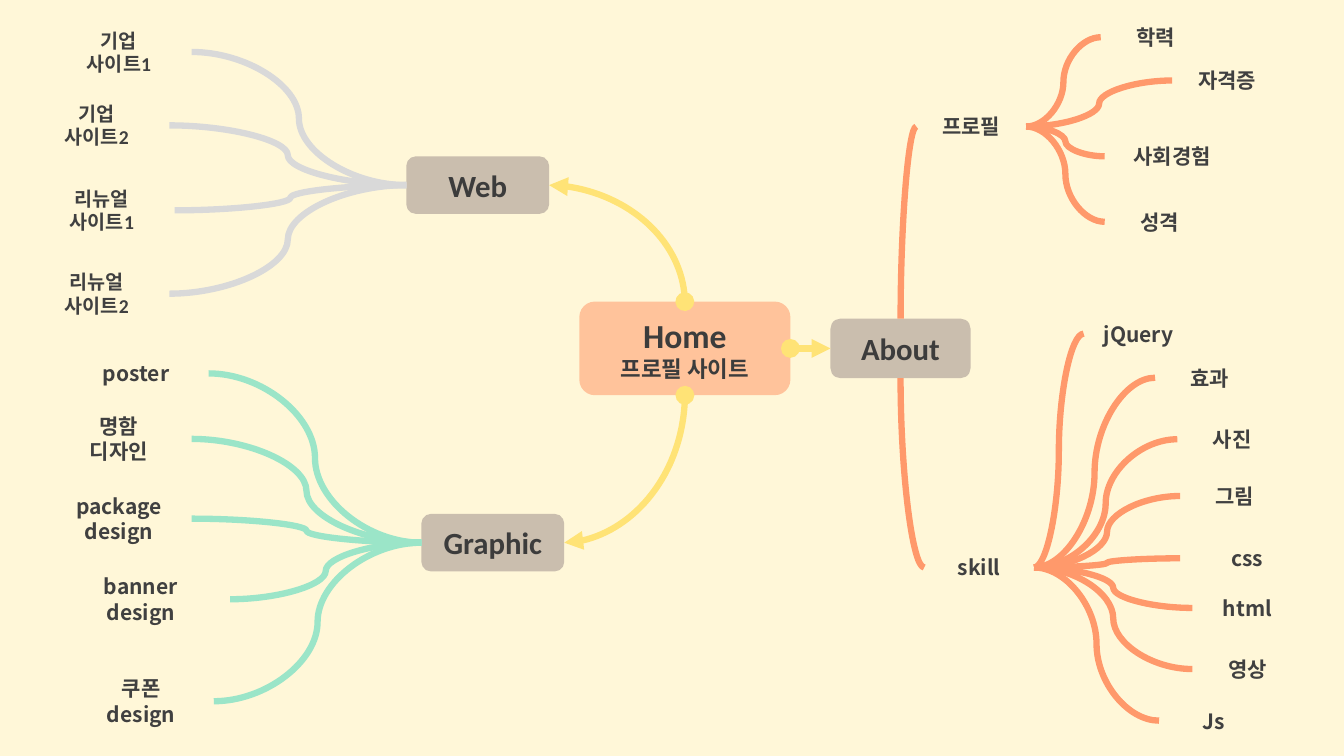
from dataclasses import dataclass
from typing import Optional

from pptx import Presentation
from pptx.dml.color import RGBColor
from pptx.enum.shapes import MSO_CONNECTOR as Link, MSO_SHAPE as Preset
from pptx.enum.text import MSO_ANCHOR as Anchor, PP_ALIGN as Align
from pptx.oxml.ns import qn
from pptx.oxml.xmlchemy import OxmlElement
from pptx.util import Cm, Pt

KOREAN = "Noto Sans CJK KR"
CREAM, PEACH, TAUPE = "FFF7D8", "FFC39B", "CABEAE"
YELLOW, ORANGE, MINT, GREY = "FFE376", "FF996B", "9BE5C8", "D9D9D9"
HUB_TEXT, LEAF_TEXT = "3C3C3C", "404040"

Point = tuple[float, float]


@dataclass
class Node:
    """A labelled box; lengths in centimetres."""
    text: str
    left: float
    top: float
    width: float = 2.77
    height: float = 0.76
    fill: Optional[str] = None
    color: str = LEAF_TEXT
    font: str = KOREAN
    sizes: tuple[float, ...] = (15,)
    preset: Preset = Preset.ROUNDED_RECTANGLE

    def at(self, x: float, y: float) -> Point:
        """Point at the given fractions of the width and height."""
        return self.left + x * self.width, self.top + y * self.height


@dataclass
class Branch:
    """A hub, its leaves and the side on which they fan out."""
    hub: Node
    leaves: list[Node]
    color: str
    to_right: bool


def rgb(value: str) -> RGBColor:
    return RGBColor.from_string(value)


def hub(text: str, left: float, top: float, width: float, height: float) -> Node:
    return Node(text, left, top, width, height, TAUPE, HUB_TEXT, "Calibri", (22,))


def graphic_leaf(text: str, left: float, top: float, width: float = 3.66) -> Node:
    return Node(text, left, top, width, 1.5)


def web_leaf(text: str, left: float, top: float) -> Node:
    return Node(text, left, top, 3.66, 1.5, font="Calibri", sizes=(14,))


def draw_node(shapes, node: Node) -> None:
    shape = shapes.add_shape(node.preset, Cm(node.left), Cm(node.top),
                             Cm(node.width), Cm(node.height))
    shape.shadow.inherit = False
    shape.line.fill.background()
    if node.fill:
        shape.fill.solid()
        shape.fill.fore_color.rgb = rgb(node.fill)
    else:
        shape.fill.background()
    frame = shape.text_frame
    frame.word_wrap = True
    frame.vertical_anchor = Anchor.MIDDLE
    for i, words in enumerate(node.text.split("\n")):
        paragraph = frame.paragraphs[0] if i == 0 else frame.add_paragraph()
        paragraph.alignment = Align.CENTER
        run = paragraph.add_run()
        run.text = words
        size = node.sizes[min(i, len(node.sizes) - 1)]
        font_format = {"name": node.font, "size": Pt(size), "bold": True}
        for key, value in font_format.items():
            setattr(run.font, key, value)
        run.font.color.rgb = rgb(node.color)
        east_asian = OxmlElement("a:ea")
        east_asian.set("typeface", KOREAN)
        run.font._element.append(east_asian)


def draw_curve(shapes, start: Point, end: Point, color: str,
               quarter: bool = False, arrow: bool = False) -> None:
    """An S-curve, or a quarter turn that leaves its start vertically."""
    (x1, y1), (x2, y2) = start, end
    if quarter:  # the box is laid out before its rotation by 90 degrees
        mid_x, mid_y = (x1 + x2) / 2, (y1 + y2) / 2
        half_x, half_y = (y2 - y1) / 2, (x1 - x2) / 2
        x1, y1, x2, y2 = (mid_x - half_x, mid_y - half_y,
                          mid_x + half_x, mid_y + half_y)
    curve = shapes.add_connector(Link.CURVE, Cm(x1), Cm(y1), Cm(x2), Cm(y2))
    curve.line.color.rgb = rgb(color)
    curve.line.width = Pt(4.5)
    properties = curve._element.spPr
    if quarter:
        properties.find(qn("a:xfrm")).set("rot", "5400000")
        properties.find(qn("a:prstGeom")).set("prst", "curvedConnector2")
    if arrow:
        for tag, kind in (("a:headEnd", "oval"), ("a:tailEnd", "triangle")):
            tip = OxmlElement(tag)
            tip.set("type", kind)
            properties.find(qn("a:ln")).append(tip)
    properties.append(OxmlElement("a:effectLst"))


def draw_branch(shapes, branch: Branch) -> None:
    draw_node(shapes, branch.hub)
    near, far = (1, 0) if branch.to_right else (0, 1)
    for leaf in branch.leaves:
        draw_node(shapes, leaf)
        draw_curve(shapes, branch.hub.at(near, 0.5), leaf.at(far, 0.5), branch.color)


# Hubs
home = Node("Home\n프로필 사이트", 14.6, 7.6, 5.32, 2.36, PEACH, HUB_TEXT,
            "Calibri", (24, 16), Preset.FLOWCHART_ALTERNATE_PROCESS)
about = hub("About", 20.93, 8.03, 3.53, 1.5)
graphic = hub("Graphic", 10.62, 12.95, 3.6, 1.45)
web = hub("Web", 10.24, 3.94, 3.6, 1.45)
profile = Node("프로필", 23.09, 2.81)
skill = Node("skill", 23.29, 13.92)

# Branches
branches = [
    Branch(profile, [
        Node("학력", 27.74, 0.56),
        Node("자격증", 29.54, 1.65),
        Node("사회경험", 27.84, 3.56, 3.4),
        Node("성격", 27.84, 5.21),
    ], ORANGE, True),
    Branch(graphic, [
        graphic_leaf("poster", 1.6, 8.66),
        graphic_leaf("명함\n디자인", 1.17, 10.31),
        graphic_leaf("package\ndesign", 1.17, 12.32),
        graphic_leaf("banner\ndesign", 1.3, 14.35, 4.5),
        graphic_leaf("쿠폰\ndesign", 1.73, 16.92),
    ], MINT, False),
    Branch(web, [
        web_leaf("기업\n사이트1", 1.17, 0.56),
        web_leaf("기업\n사이트2", 0.61, 2.41),
        web_leaf("리뉴얼\n사이트1", 0.74, 4.55),
        web_leaf("리뉴얼\n사이트2", 0.61, 6.65),
    ], GREY, False),
    Branch(skill, [
        Node("jQuery", 27.31, 8.03),
        Node("효과", 29.11, 9.14),
        Node("사진", 29.67, 10.69),
        Node("그림", 29.74, 12.12),
        Node("css", 29.74, 13.69, 3.4),
        Node("html", 30.05, 14.94),
        Node("영상", 30.05, 16.48),
        Node("Js", 29.21, 17.78),
    ], ORANGE, True),
]


def main() -> None:
    deck = Presentation()
    deck.slide_width, deck.slide_height = Cm(33.87), Cm(19.05)
    slide = deck.slides.add_slide(deck.slide_layouts[6])
    slide.background.fill.solid()
    slide.background.fill.fore_color.rgb = rgb(CREAM)
    shapes = slide.shapes

    # Mind map
    draw_node(shapes, home)
    draw_node(shapes, about)
    for branch in branches:
        draw_branch(shapes, branch)

    # Arrows from Home
    draw_curve(shapes, home.at(1, 0.5), about.at(0, 0.5), YELLOW, arrow=True)
    draw_curve(shapes, home.at(0.5, 0), web.at(1, 0.5), YELLOW, True, True)
    draw_curve(shapes, home.at(0.5, 1), graphic.at(1, 0.5), YELLOW, True, True)

    # Stems from About
    draw_curve(shapes, about.at(0.5, 0), profile.at(0, 0.5), ORANGE, True)
    draw_curve(shapes, about.at(0.5, 1), skill.at(0, 0.5), ORANGE, True)

    deck.save("out.pptx")


if __name__ == "__main__":
    main()
